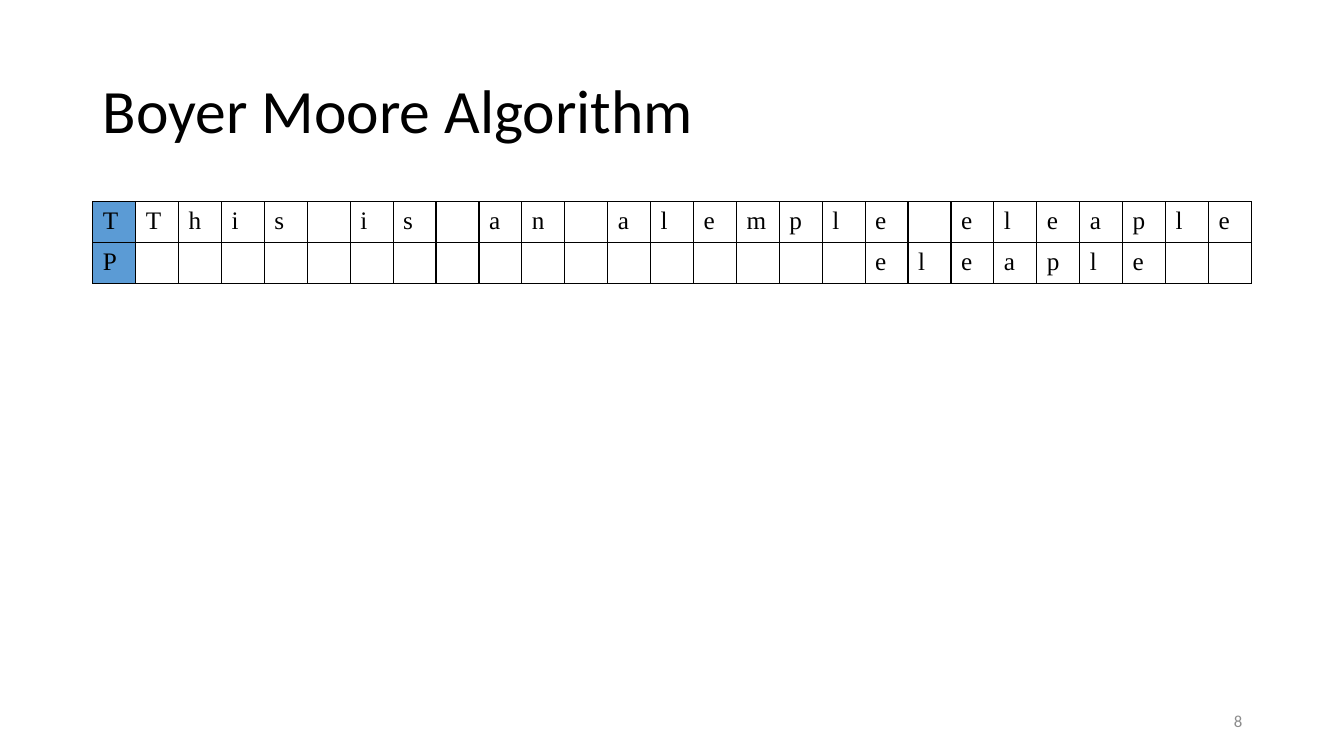
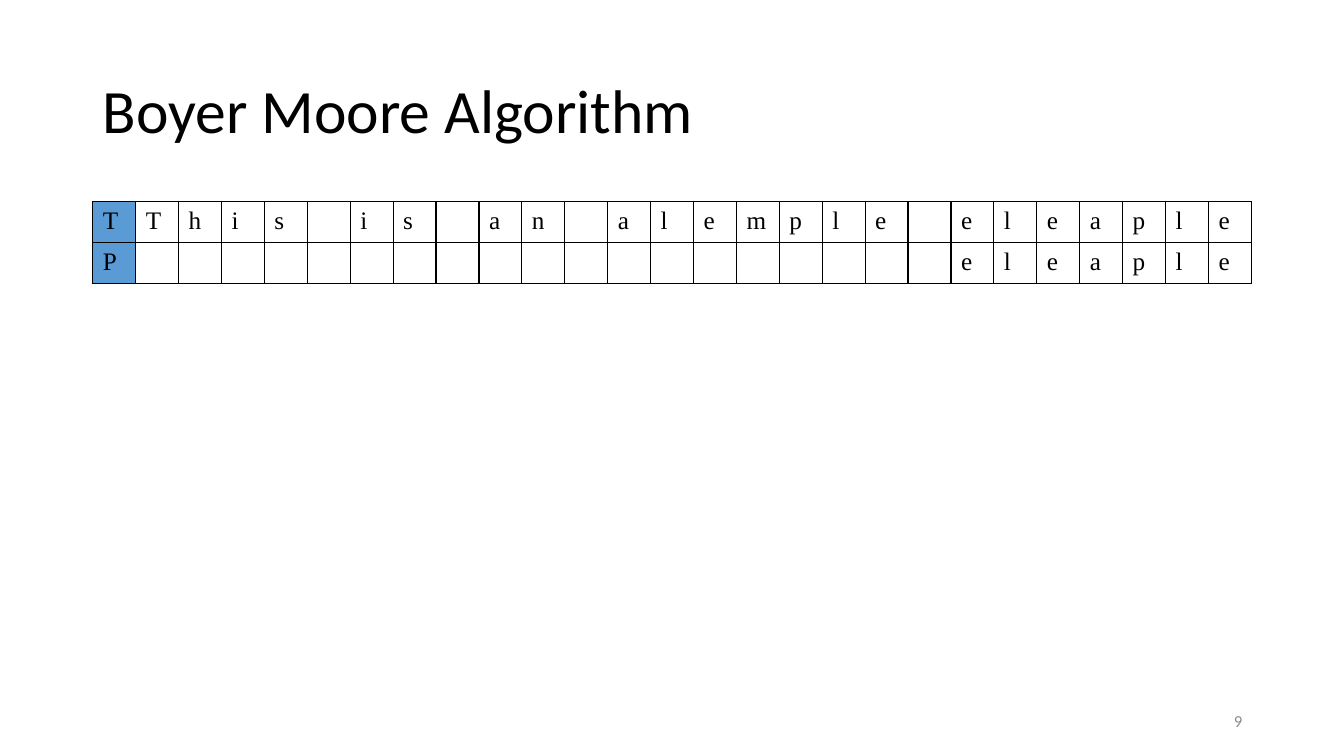
from dataclasses import dataclass
from typing import NamedTuple

from lxml.etree import SubElement
from pptx import Presentation
from pptx.dml.color import RGBColor
from pptx.enum.text import MSO_ANCHOR, PP_ALIGN
from pptx.oxml.ns import qn
from pptx.util import Inches, Pt


@dataclass(frozen=True)
class Theme:
    """Colours, fonts and type sizes of the deck."""
    ink: str = "000000"
    key: str = "5B9BD5"
    mute: str = "8C8C8C"
    sans: str = "Calibri"
    serif: str = "Times New Roman"
    head: int = 44
    body: int = 18
    small: int = 12
    rule: int = 1


class Box(NamedTuple):
    """A region in inches."""
    left: float
    top: float
    width: float
    height: float

    def emu(self):
        """Return the region as slide lengths."""
        return [Inches(side) for side in self]


LOOK = Theme()
WIDE, HIGH = 13.33, 7.5
EDGE, SPAN = 0.92, 11.5
TITLE = Box(EDGE, 0.4, SPAN, 1.45)
GRID = Box(EDGE, 2, SPAN, 0.81)
PAGE = Box(EDGE + SPAN - 3, 6.95, 3, 0.4)

HEAD = "Boyer Moore Algorithm"
TEXT = "This is an alemple eleaple"
WORD = "eleaple"
STEPS = [(8, 17), (9, 19)]


def style(frame, size, face, tint):
    """Format every run of a text frame."""
    for para in frame.paragraphs:
        for run in para.runs:
            run.font.size = Pt(size)
            run.font.name = face
            run.font.color.rgb = RGBColor.from_string(tint)


def title(slide, box, text):
    """Place the title placeholder in its box."""
    shape = slide.shapes.title
    shape.left, shape.top, shape.width, shape.height = box.emu()
    frame = shape.text_frame
    frame.text = text
    frame.vertical_anchor = MSO_ANCHOR.MIDDLE
    para = frame.paragraphs[0]
    para.alignment = PP_ALIGN.LEFT
    para.line_spacing = 0.9
    style(frame, LOOK.head, LOOK.sans, LOOK.ink)


def border(cell):
    """Draw a thin line on all sides of a cell."""
    props = cell._tc.get_or_add_tcPr()
    for side in ("lnL", "lnR", "lnT", "lnB"):
        line = SubElement(props, qn(f"a:{side}"), w=str(Pt(LOOK.rule)))
        fill = SubElement(line, qn("a:solidFill"))
        SubElement(fill, qn("a:srgbClr"), val=LOOK.ink)


def grid(slide, box, rows):
    """Set strings as rows of single letters, the first column filled."""
    count = len(rows[0])
    table = slide.shapes.add_table(len(rows), count, *box.emu()).table
    table.first_row = table.horz_banding = False
    for col in table.columns:
        col.width = Inches(box.width / count)
    for row, letters in enumerate(rows):
        for col, letter in enumerate(letters):
            cell = table.cell(row, col)
            border(cell)
            if col == 0:
                cell.fill.solid()
                cell.fill.fore_color.rgb = RGBColor.from_string(LOOK.key)
            else:
                cell.fill.background()
            cell.text_frame.text = letter.strip()
            style(cell.text_frame, LOOK.body, LOOK.serif, LOOK.ink)


def number(slide, box, page):
    """Write the page number at the right of its box."""
    frame = slide.shapes.add_textbox(*box.emu()).text_frame
    frame.word_wrap = True
    frame.vertical_anchor = MSO_ANCHOR.MIDDLE
    frame.text = str(page)
    frame.paragraphs[0].alignment = PP_ALIGN.RIGHT
    style(frame, LOOK.small, LOOK.sans, LOOK.mute)


def step(deck, page, shift):
    """Add a slide with the pattern moved along the text."""
    slide = deck.slides.add_slide(deck.slide_layouts[5])
    title(slide, TITLE, HEAD)
    word = (" " * shift + WORD).ljust(len(TEXT))
    grid(slide, GRID, ["T" + TEXT, "P" + word])
    number(slide, PAGE, page)


def main():
    """Build and save the deck."""
    deck = Presentation()
    deck.slide_width, deck.slide_height = Inches(WIDE), Inches(HIGH)
    for page, shift in STEPS:
        step(deck, page, shift)
    deck.save("out.pptx")


if __name__ == "__main__":
    main()
